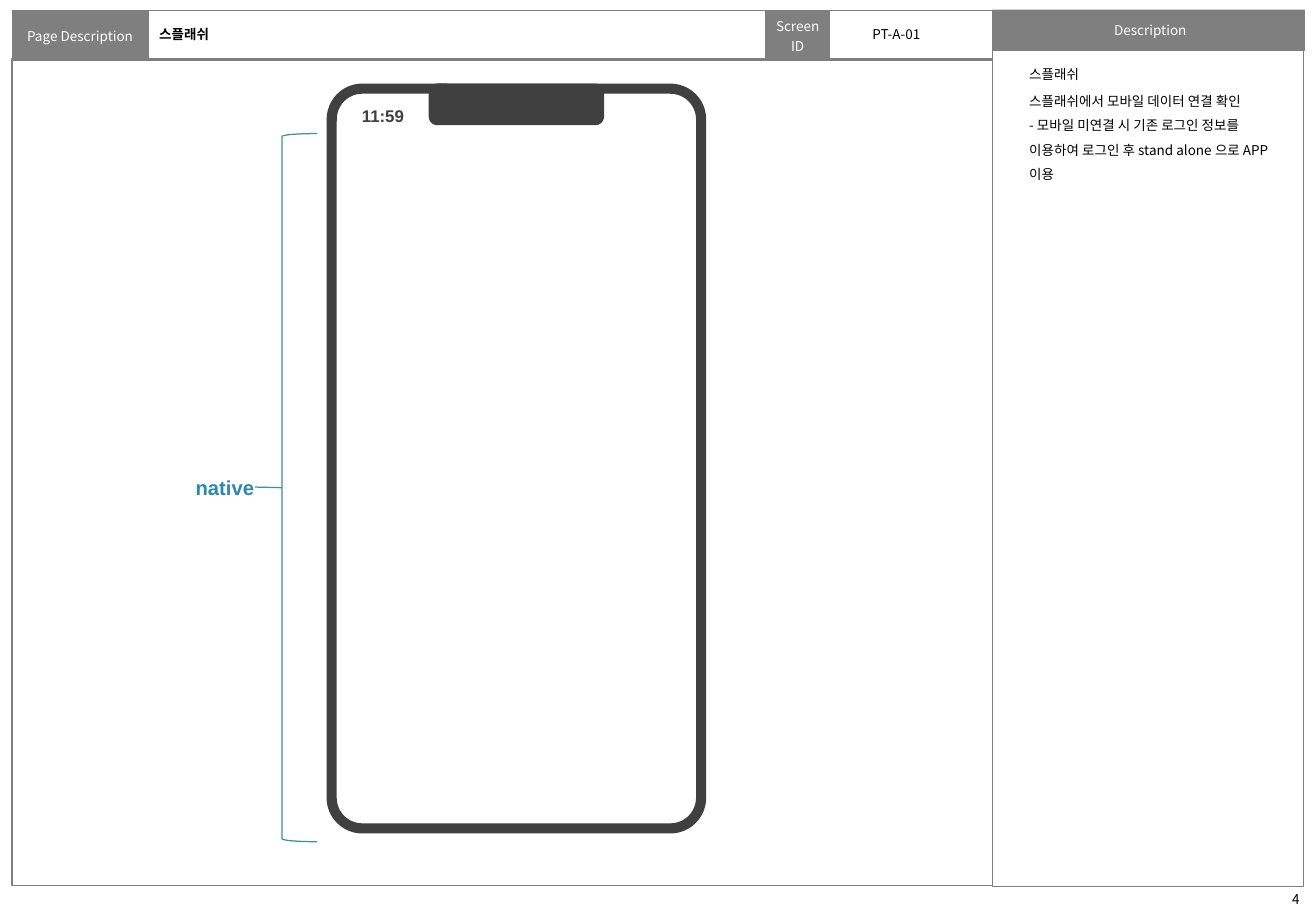
from lxml import etree
from pptx import Presentation
from pptx.dml.color import RGBColor
from pptx.enum import shapes as sh, text as tx
from pptx.oxml import ns
from pptx.util import Inches, Pt

GRAY = RGBColor(0x7F, 0x7F, 0x7F)
DARK = RGBColor(0x40, 0x40, 0x40)
TEAL = RGBColor(0x3B, 0x93, 0x99)
BLUE = RGBColor(0x2D, 0x88, 0xAB)
WHITE = RGBColor(0xFF, 0xFF, 0xFF)
BLACK = RGBColor(0, 0, 0)
KOREAN = "Noto Sans CJK KR"
KIND = sh.MSO_SHAPE
LEFT, CENTER = tx.PP_ALIGN.LEFT, tx.PP_ALIGN.CENTER
TOP, MIDDLE = tx.MSO_ANCHOR.TOP, tx.MSO_ANCHOR.MIDDLE


def write(frame, *lines, size=8, font=KOREAN, color=BLACK, bold=False,
          align=LEFT, spacing=None, gaps=()):
    """Write one paragraph per line; gaps gives points before each."""
    for i, line in enumerate(lines):
        para = frame.paragraphs[0] if i == 0 else frame.add_paragraph()
        para.alignment = align
        para.line_spacing = spacing
        para.space_before = Pt(gaps[i] if i < len(gaps) else 0)
        run = para.add_run()
        run.text = line
        run.font.size = Pt(size)
        run.font.bold = bold
        run.font.name = font
        run.font.color.rgb = color
        east = etree.SubElement(run.font._element, ns.qn("a:ea"))
        east.set("typeface", font)


def frame(shape, inset=(0.1, 0.05, 0.1, 0.05), anchor=TOP, wrap=True):
    body = shape.text_frame
    body.word_wrap = wrap
    body.auto_size = tx.MSO_AUTO_SIZE.NONE
    body.vertical_anchor = anchor
    (body.margin_left, body.margin_top,
     body.margin_right, body.margin_bottom) = map(Inches, inset)
    return body


def label(slide, box, *lines, inset=(0.1, 0.05, 0.1, 0.05), anchor=TOP,
          wrap=True, **style):
    shape = slide.shapes.add_textbox(*map(Inches, box))
    write(frame(shape, inset, anchor, wrap), *lines, **style)
    return shape


def outline(slide, kind, box, line=None, width=0.75, fill=None, adj=None):
    shape = slide.shapes.add_shape(kind, *map(Inches, box))
    shape.shadow.inherit = False
    if fill is None:
        shape.fill.background()
    else:
        shape.fill.solid()
        shape.fill.fore_color.rgb = fill
    if line is None:
        shape.line.fill.background()
    else:
        shape.line.color.rgb = line
        shape.line.width = Pt(width)
    if adj is not None:
        shape.adjustments[0] = adj
    return shape


def border(cell):
    props = cell._tc.get_or_add_tcPr()
    for i, side in enumerate(("lnL", "lnR", "lnT", "lnB")):
        line = etree.Element(ns.qn(f"a:{side}"), w=str(Pt(0.75)))
        fill = etree.SubElement(line, ns.qn("a:solidFill"))
        etree.SubElement(fill, ns.qn("a:srgbClr"), val=str(GRAY))
        props.insert(i, line)


def header(slide):
    widths = (1.12, 5.08, 0.53, 1.34)
    shape = slide.shapes.add_table(1, len(widths), Inches(0.1), Inches(0.09),
                                   Inches(sum(widths)), Inches(0.35))
    table = shape.table
    table.first_row = table.horz_banding = False
    names = ("Page Description", "", "Screen ID", "")
    for i, (wide, name) in enumerate(zip(widths, names)):
        table.columns[i].width = Inches(wide)
        cell = table.cell(0, i)
        cell.vertical_anchor = MIDDLE
        cell.margin_left = cell.margin_right = Inches(0.04)
        cell.margin_top = cell.margin_bottom = Inches(0.04)
        if name:
            cell.fill.solid()
            cell.fill.fore_color.rgb = GRAY
            write(cell.text_frame, name, color=WHITE, align=CENTER)
        else:
            cell.fill.background()
            cell.text_frame.paragraphs[0].font.size = Pt(8)
        border(cell)


def title(slide, words):
    shape = slide.shapes.title
    shape.left, shape.top = Inches(1.27), Inches(0.13)
    shape.width, shape.height = Inches(5.01), Inches(0.3)
    body = frame(shape, (0.04, 0.05, 0.04, 0.05), MIDDLE)
    write(body, words, bold=True)


def panel(slide):
    outline(slide, KIND.RECTANGLE, (0.1, 0.48, 8.07, 6.81), GRAY)
    outline(slide, KIND.RECTANGLE, (8.17, 0.39, 2.56, 6.91), GRAY)
    head = outline(slide, KIND.RECTANGLE, (8.17, 0.08, 2.57, 0.34), fill=GRAY)
    write(frame(head, (0, 0, 0, 0), MIDDLE), " Description",
          color=WHITE, align=CENTER)
    label(slide, (8.18, 0.43, 2.55, 6.86),
          "스플래쉬",
          "스플래쉬에서 모바일 데이터 연결 확인",
          "- 모바일 미연결 시 기존 로그인 정보를 이용하여 로그인 후 "
          "stand alone 으로 APP 이용",
          inset=(0.29, 0.05, 0.1, 0.05), spacing=1.5, gaps=(0, 1.6))


def phone(slide):
    outline(slide, KIND.ROUNDED_RECTANGLE, (2.73, 0.73, 3.04, 6.09),
            DARK, 6, adj=0.083)
    label(slide, (2.88, 0.82, 0.6, 0.27), "11:59", size=10, font="Arial",
          color=DARK, bold=True)
    outline(slide, KIND.ROUNDED_RECTANGLE, (3.57, 0.73, 1.36, 0.26),
            DARK, 6, DARK, 0.11)


def native(slide):
    """Bracket beside the phone, with its label."""
    brace = outline(slide, KIND.LEFT_BRACKET, (2.32, 1.1, 0.29, 5.83), TEAL)
    name = label(slide, (1.61, 3.91, 0.49, 0.2), "native", size=12,
                 font="Arial", color=BLUE, bold=True, inset=(0, 0, 0, 0),
                 wrap=False)
    link = slide.shapes.add_connector(sh.MSO_CONNECTOR.STRAIGHT, 0, 0, 0, 0)
    link.begin_connect(name, 3)
    link.end_connect(brace, 1)
    link.line.color.rgb = TEAL
    link.line.width = Pt(0.75)
    etree.SubElement(link._element.spPr, ns.qn("a:effectLst"))


def main():
    deck = Presentation()
    deck.slide_width, deck.slide_height = Inches(10.83), Inches(7.5)
    slide = deck.slides.add_slide(deck.slide_layouts[5])
    title(slide, "스플래쉬")
    header(slide)
    panel(slide)
    label(slide, (6.83, 0.13, 1.3, 0.3), "PT-A-01",
          inset=(0.35, 0.05, 0.1, 0.05), anchor=MIDDLE)
    phone(slide)
    native(slide)
    label(slide, (10.5, 7.29, 0.33, 0.2), "4", align=CENTER)
    deck.save("out.pptx")


if __name__ == "__main__":
    main()
